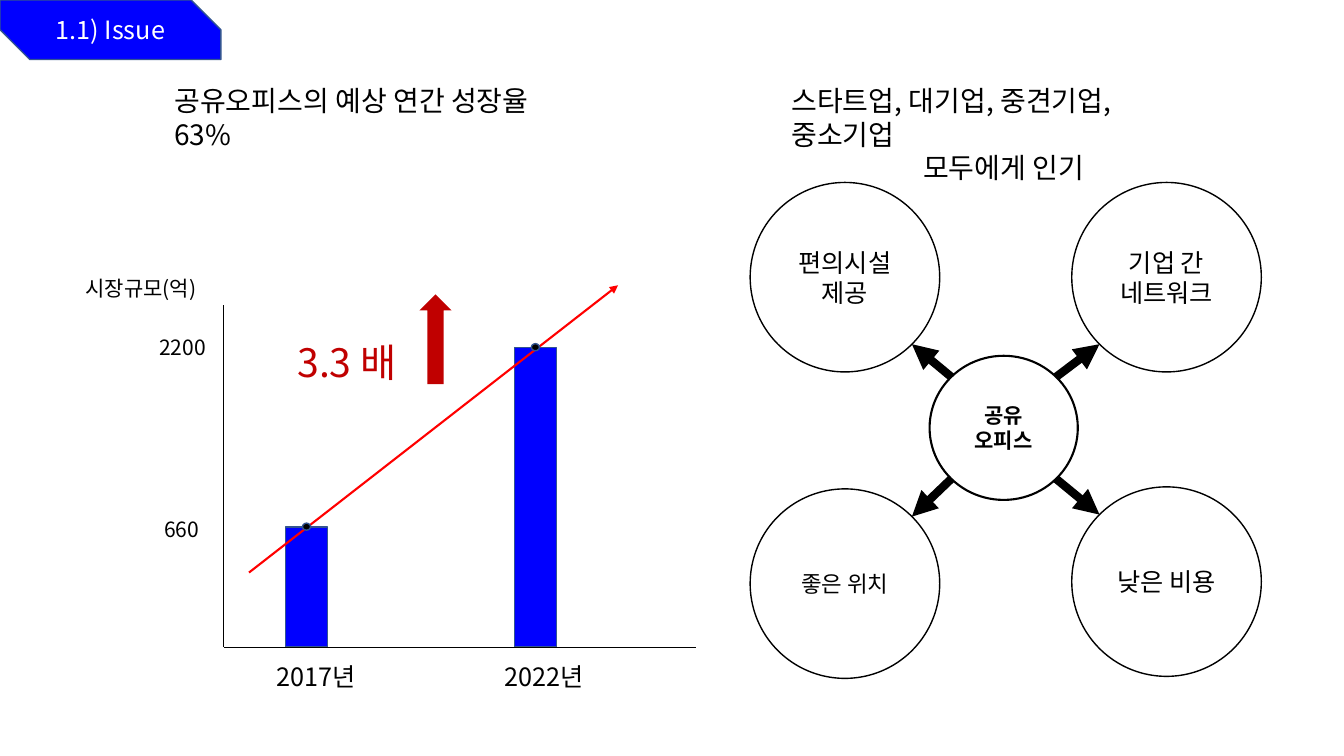
from math import sqrt

from lxml.etree import SubElement
from pptx import Presentation
from pptx.dml.color import RGBColor
from pptx.enum.shapes import MSO_CONNECTOR, MSO_SHAPE
from pptx.enum.text import MSO_ANCHOR, MSO_AUTO_SIZE, PP_ALIGN
from pptx.oxml.ns import qn
from pptx.util import Inches, Pt

FONT = "Noto Sans CJK KR"
HUE = {
    "blue": "0000FF",
    "edge": "325491",
    "black": "000000",
    "white": "FFFFFF",
    "dark": "C00000",
    "red": "FF0000",
}


def tint(name):
    return RGBColor.from_string(HUE[name])


def write(frame, lines, size, hue="black", bold=False, align=PP_ALIGN.CENTER):
    """Fill a text frame, one paragraph for each line."""
    frame.word_wrap = True
    for i, line in enumerate(lines):
        para = frame.paragraphs[0] if i == 0 else frame.add_paragraph()
        para.alignment = align
        run = para.add_run()
        run.text = line
        font = run.font
        font.size, font.bold, font.name = Pt(size), bold, FONT
        font.color.rgb = tint(hue)
        SubElement(run._r.get_or_add_rPr(), qn("a:ea"), typeface=FONT)


def label(slide, box, lines, size, hue="black"):
    text = slide.shapes.add_textbox(*map(Inches, box))
    write(text.text_frame, lines, size, hue, align=PP_ALIGN.LEFT)
    text.text_frame.auto_size = MSO_AUTO_SIZE.SHAPE_TO_FIT_TEXT
    return text


def shape(slide, kind, box, fill=None, edge=None, width=1):
    item = slide.shapes.add_shape(kind, *map(Inches, box))
    item.shadow.inherit = False
    if fill:
        item.fill.solid()
        item.fill.fore_color.rgb = tint(fill)
    else:
        item.fill.background()
    if edge:
        item.line.color.rgb = tint(edge)
        item.line.width = Pt(width)
    else:
        item.line.fill.background()
    return item


def circle(slide, box, lines, size, width=1, bold=False):
    ring = shape(slide, MSO_SHAPE.OVAL, box, edge="black", width=width)
    ring.text_frame.vertical_anchor = MSO_ANCHOR.MIDDLE
    write(ring.text_frame, lines, size, bold=bold)


def line(slide, start, end, hue, width, arrow=False):
    link = slide.shapes.add_connector(
        MSO_CONNECTOR.STRAIGHT, *map(Inches, (*start, *end)))
    link.line.color.rgb = tint(hue)
    link.line.width = Pt(width)
    if arrow:
        SubElement(link.line._get_or_add_ln(), qn("a:tailEnd"), type="triangle")
    SubElement(link._element.spPr, qn("a:effectLst"))


def rim(box, right, down):
    """Point on an oval's rim, halfway between two of its axes."""
    x, y, w, h = box
    return (x + w / 2 + right * w / sqrt(8), y + h / 2 + down * h / sqrt(8))


def header(slide):
    box = (0, 0, 2.19, 0.59)
    tag = shape(slide, MSO_SHAPE.SNIP_2_DIAG_RECTANGLE, box, "blue", "edge")
    tag.adjustments[0], tag.adjustments[1] = 0, 0.5
    title = slide.shapes.title
    title.left, title.top, title.width, title.height = map(Inches, box)
    title.text_frame.vertical_anchor = MSO_ANCHOR.MIDDLE
    write(title.text_frame, ["1.1) Issue"], 18, "white")
    tag._element.addnext(title._element)


def growth(slide):
    label(slide, (1.63, 0.78, 4.31, 0.44), ["공유오피스의 예상 연간 성장율 63%"], 20)

    # Bars and axes
    base, left, wide = 6.42, 2.22, 0.42
    bars = [(2.83, 5.23, "2017년"), (5.1, 3.45, "2022년")]
    for x, top, year in bars:
        shape(slide, MSO_SHAPE.RECTANGLE, (x, top, wide, base - top),
              "blue", "edge")
        label(slide, (x - 0.19, 6.51, 1.15, 0.4), [year], 18)
    line(slide, (left, base), (6.9, base), "black", 0.5)
    line(slide, (left, base), (left, 3.03), "black", 0.5)

    # Scale
    label(slide, (0.75, 2.68, 1.37, 0.35), ["시장규모(억)"], 15)
    label(slide, (1.53, 5.07, 0.68, 0.35), ["660"], 15)
    label(slide, (1.48, 3.27, 0.8, 0.35), ["2200"], 15)

    # Trend
    shape(slide, MSO_SHAPE.UP_ARROW, (4.16, 2.92, 0.32, 0.89), "dark")
    line(slide, (2.47, 5.68), (6.13, 2.83), "red", 1.5, arrow=True)
    for x, top, _ in bars:
        shape(slide, MSO_SHAPE.OVAL, (x + 0.17, top - 0.04, 0.08, 0.07),
              "black", "edge")
    label(slide, (2.85, 3.31, 1.21, 0.57), ["3.3 배"], 28, "dark")


def appeal(slide):
    head = label(slide, (7.75, 0.78, 4.41, 0.77),
                 ["스타트업, 대기업, 중견기업, 중소기업", "모두에게 인기"], 20)
    head.text_frame.paragraphs[1].alignment = PP_ALIGN.CENTER

    # Hub, with a spoke to each benefit
    hub = (9.22, 3.53, 1.47, 1.43)
    circle(slide, hub, ["공유", "오피스"], 15, width=1.5, bold=True)
    west, east, size = 7.44, 10.63, 1.88
    perks = [
        (west, 1.81, -1, -1, ["편의시설", "제공"], 18),
        (east, 1.81, 1, -1, ["기업 간", "네트워크"], 18),
        (west, 4.85, -1, 1, ["좋은 위치"], 16),
        (east, 4.83, 1, 1, ["낮은 비용"], 18),
    ]
    for x, y, right, down, lines, points in perks:
        box = (x, y, size, size)
        circle(slide, box, lines, points)
        line(slide, rim(hub, right, down), rim(box, -right, -down),
             "black", 6, arrow=True)


def main():
    deck = Presentation()
    deck.slide_width, deck.slide_height = Inches(13.33), Inches(7.5)
    slide = deck.slides.add_slide(deck.slide_layouts[5])
    growth(slide)
    appeal(slide)
    header(slide)
    deck.save("out.pptx")


if __name__ == "__main__":
    main()
